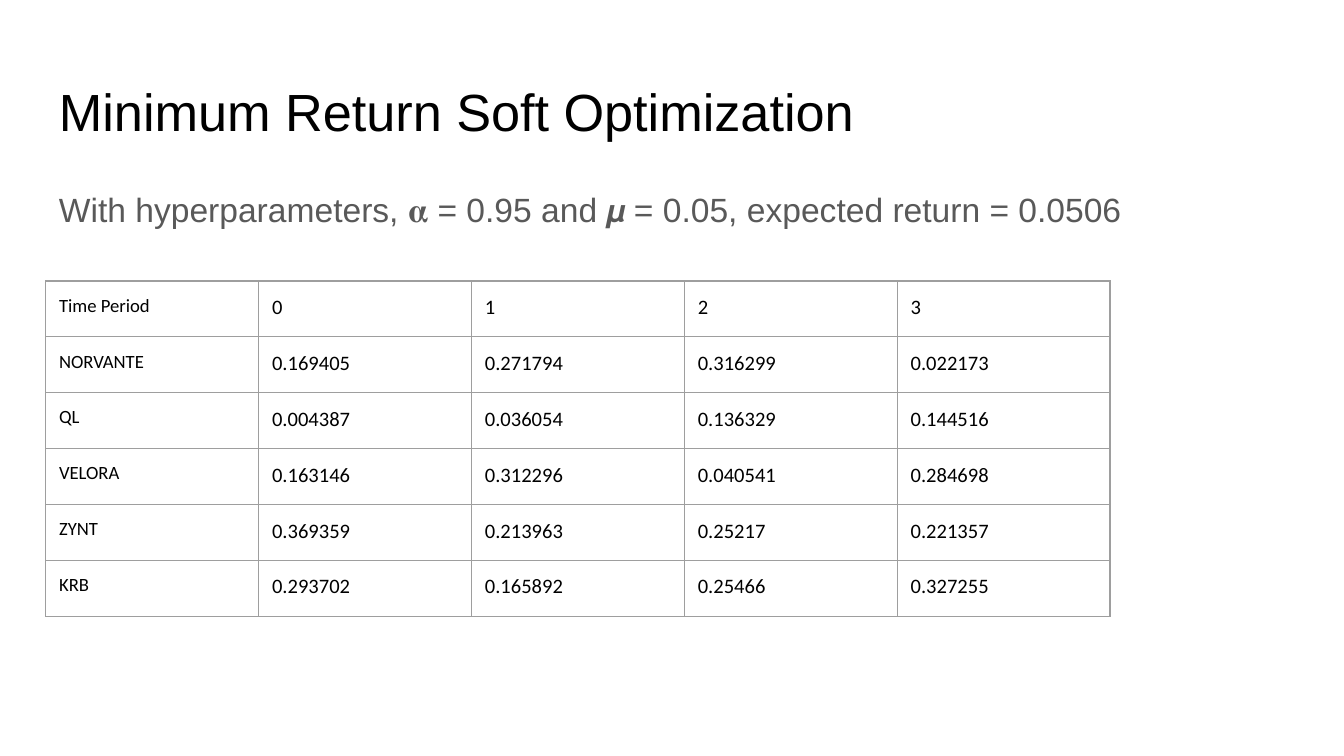
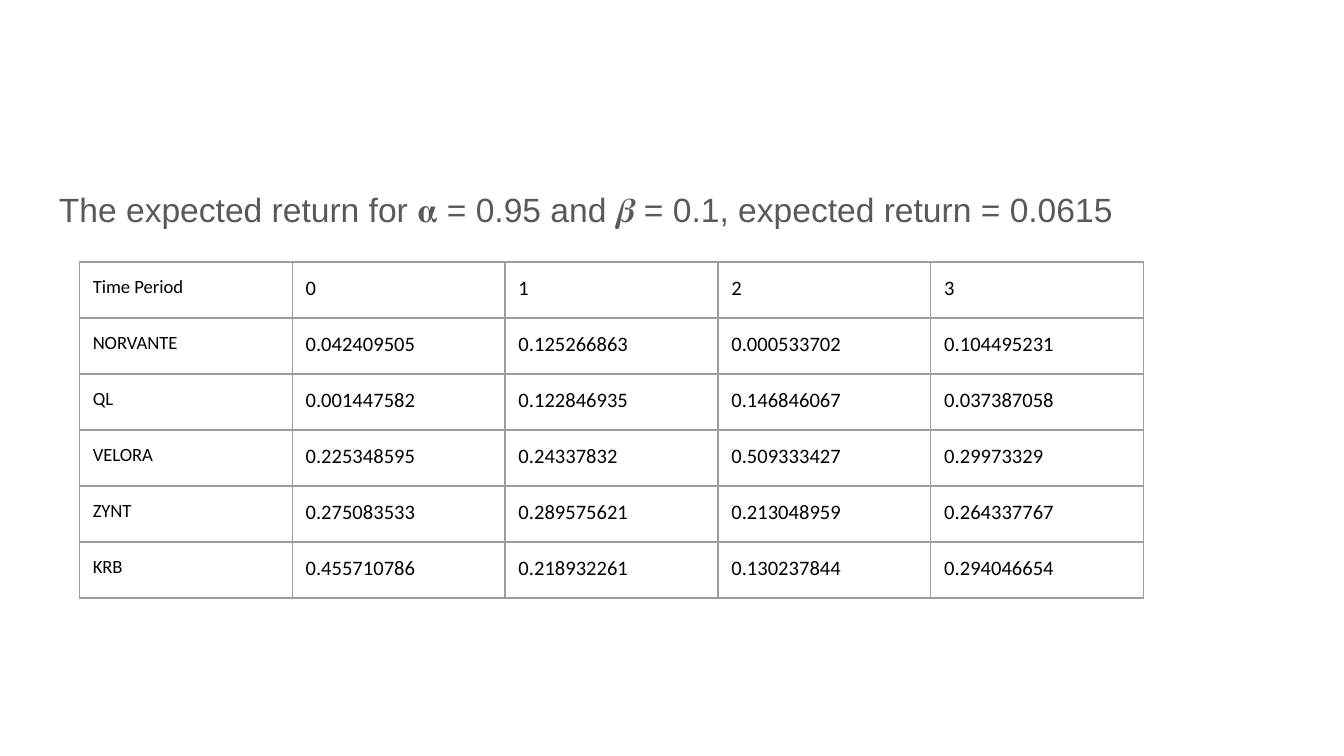
from dataclasses import dataclass

from lxml import etree
from pptx import Presentation
from pptx import util as u
from pptx.dml.color import RGBColor
from pptx.enum import text
from pptx.oxml.ns import qn


@dataclass(frozen=True)
class Theme:
    title_color: str = "000000"
    body_color: str = "595959"
    cell_color: str = "000000"
    border_color: str = "9E9E9E"
    background: str = "FFFFFF"
    text_font: str = "Arial"
    table_font: str = "Calibri"
    title_size: int = 28
    body_size: int = 18
    label_size: int = 10
    value_size: int = 11
    border_width: float = 0.75
    inset: float = 0.1


THEME = Theme()
WIDTH = 10
HEIGHT = WIDTH * 9 / 16
MARGIN = 0.34
TEXT_WIDTH = WIDTH - 2 * MARGIN
TITLE_TOP, TITLE_HEIGHT = 0.49, 0.63
BODY_TOP, BODY_HEIGHT = 1.26, 3.74
TABLE_WIDTH, TABLE_HEIGHT = 7.92, 2.5

STOCKS = ["NORVANTE", "QL", "VELORA", "ZYNT", "KRB"]
SOFT_WEIGHTS = [
    ["0.169405", "0.271794", "0.316299", "0.022173"],
    ["0.004387", "0.036054", "0.136329", "0.144516"],
    ["0.163146", "0.312296", "0.040541", "0.284698"],
    ["0.369359", "0.213963", "0.25217", "0.221357"],
    ["0.293702", "0.165892", "0.25466", "0.327255"],
]
BETA_WEIGHTS = [
    ["0.042409505", "0.125266863", "0.000533702", "0.104495231"],
    ["0.001447582", "0.122846935", "0.146846067", "0.037387058"],
    ["0.225348595", "0.24337832", "0.509333427", "0.29973329"],
    ["0.275083533", "0.289575621", "0.213048959", "0.264337767"],
    ["0.455710786", "0.218932261", "0.130237844", "0.294046654"],
]


def set_font(p, name, size, color):
    p.font.name = name
    p.font.size = u.Pt(size)
    p.font.color.rgb = RGBColor.from_string(color)


def set_insets(target):
    target.margin_left = target.margin_right = u.Inches(THEME.inset)
    target.margin_top = target.margin_bottom = u.Inches(THEME.inset)


def add_slide(prs):
    s = prs.slides.add_slide(prs.slide_layouts[6])
    s.background.fill.solid()
    s.background.fill.fore_color.rgb = RGBColor.from_string(THEME.background)
    return s


def add_text(s, words, top, height, size, color):
    sp = s.shapes.add_textbox(
        u.Inches(MARGIN), u.Inches(top), u.Inches(TEXT_WIDTH), u.Inches(height)
    )
    tf = sp.text_frame
    tf.word_wrap = True
    tf.vertical_anchor = text.MSO_ANCHOR.TOP
    set_insets(tf)
    p = tf.paragraphs[0]
    p.text = words
    set_font(p, THEME.text_font, size, color)
    return p


def add_title(s, words):
    add_text(s, words, TITLE_TOP, TITLE_HEIGHT, THEME.title_size, THEME.title_color)


def add_body(s, words, space_after=0):
    p = add_text(s, words, BODY_TOP, BODY_HEIGHT, THEME.body_size, THEME.body_color)
    p.line_spacing = 1.15
    p.space_after = u.Pt(space_after)


def add_borders(cell):
    tc_pr = cell._tc.get_or_add_tcPr()
    for side in ("a:lnL", "a:lnR", "a:lnT", "a:lnB"):
        line = etree.SubElement(tc_pr, qn(side), w=str(u.Pt(THEME.border_width)))
        fill = etree.SubElement(line, qn("a:solidFill"))
        etree.SubElement(fill, qn("a:srgbClr"), val=THEME.border_color)


def fill_cell(cell, words, size):
    set_insets(cell)
    add_borders(cell)
    cell.fill.background()
    p = cell.text_frame.paragraphs[0]
    p.text = words
    set_font(p, THEME.table_font, size, THEME.cell_color)


def add_weights(s, left, top, weights):
    periods = [str(i) for i in range(len(weights[0]))]
    rows = [["Time Period", *periods]]
    rows += [[stock, *values] for stock, values in zip(STOCKS, weights)]
    table = s.shapes.add_table(
        len(rows), len(rows[0]), u.Inches(left), u.Inches(top),
        u.Inches(TABLE_WIDTH), u.Inches(TABLE_HEIGHT),
    ).table
    table.first_row = table.horz_banding = False
    for i, row in enumerate(rows):
        for j, words in enumerate(row):
            size = THEME.value_size if j else THEME.label_size
            fill_cell(table.cell(i, j), words, size)


def main():
    prs = Presentation()
    prs.slide_width, prs.slide_height = u.Inches(WIDTH), u.Inches(HEIGHT)

    s = add_slide(prs)
    add_title(s, "Minimum Return Soft Optimization")
    add_body(s, "With hyperparameters, 𝛂 = 0.95 and 𝞵 = 0.05, expected return = 0.0506", 16)
    add_weights(s, MARGIN, 2.09, SOFT_WEIGHTS)

    s = add_slide(prs)
    add_body(s, "The expected return for 𝛂 = 0.95 and 𝜷 = 0.1, expected return = 0.0615")
    add_weights(s, MARGIN + 0.25, 1.95, BETA_WEIGHTS)

    prs.save("out.pptx")


if __name__ == "__main__":
    main()
